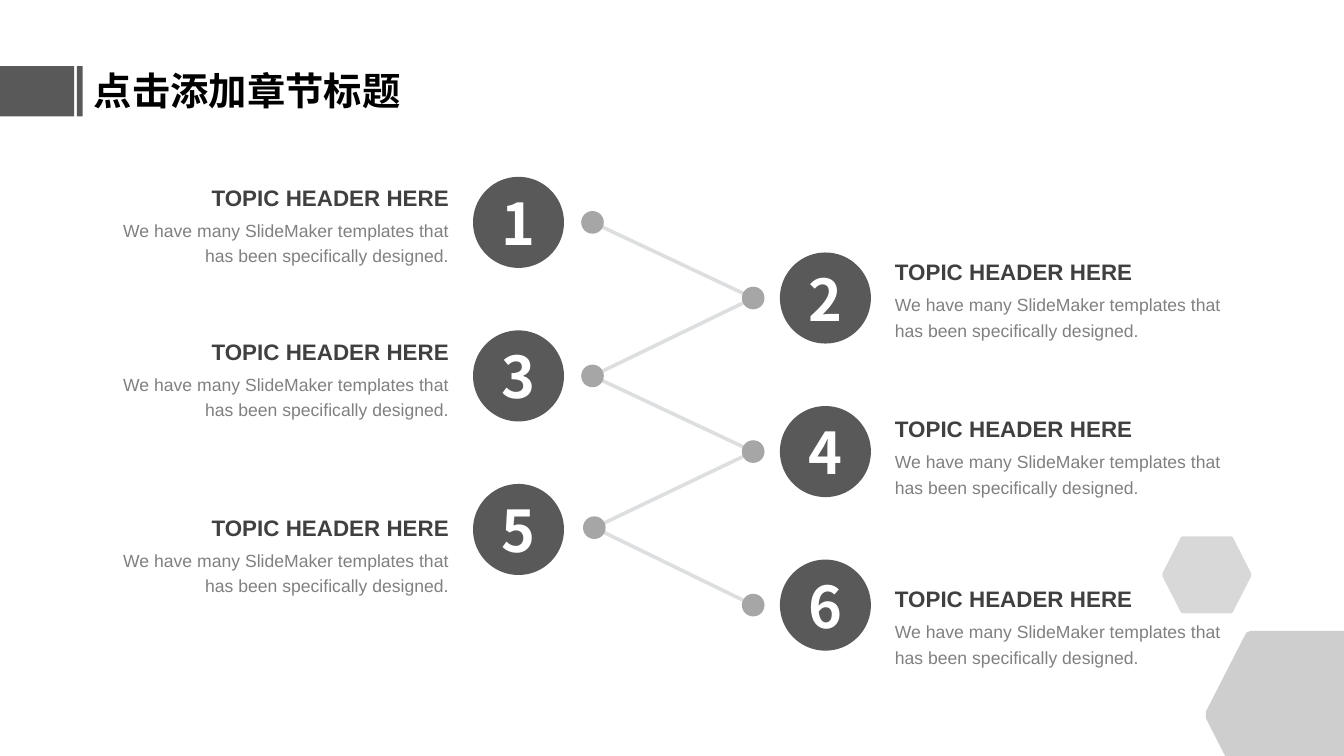
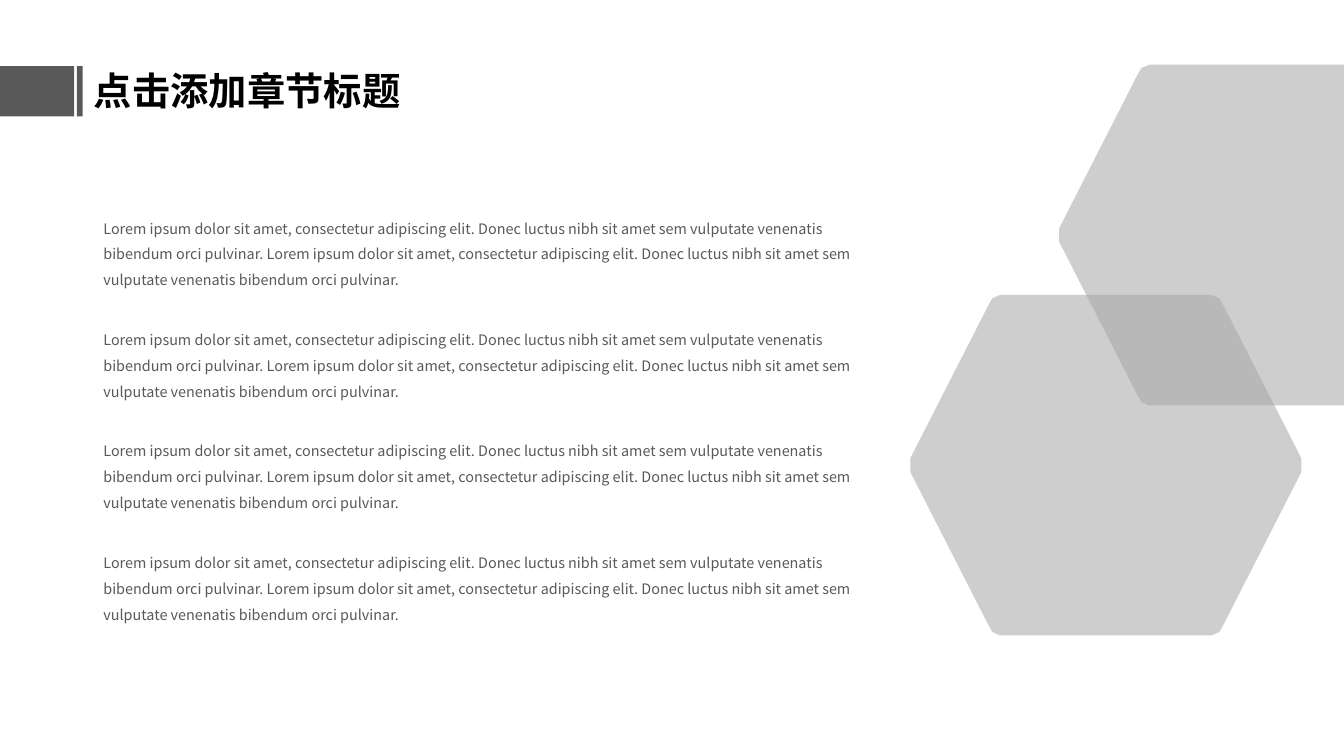
from dataclasses import dataclass

from lxml import etree
from pptx import Presentation
from pptx.dml.color import RGBColor
from pptx.enum.shapes import MSO_CONNECTOR, MSO_SHAPE
from pptx.enum.text import MSO_ANCHOR, MSO_AUTO_SIZE, PP_ALIGN
from pptx.oxml.ns import qn
from pptx.util import Cm, Pt

RECTANGLE = MSO_SHAPE.RECTANGLE
DISC = MSO_SHAPE.FLOWCHART_CONNECTOR
STRAIGHT = MSO_CONNECTOR.STRAIGHT
MIDDLE = MSO_ANCHOR.MIDDLE
NO_AUTOFIT = MSO_AUTO_SIZE.NONE
LEFT, CENTER, RIGHT = PP_ALIGN.LEFT, PP_ALIGN.CENTER, PP_ALIGN.RIGHT


@dataclass(frozen=True)
class Theme:
    dark: str = "595959"
    accent: str = "A6A6A6"
    link: str = "DCDEE0"
    header: str = "404040"
    detail: str = "808080"
    black: str = "000000"
    white: str = "FFFFFF"
    main_font: str = "Noto Sans CJK SC"
    topic_font: str = "Arial"
    title_size: int = 24
    number_size: int = 36
    header_size: int = 14
    detail_size: int = 11
    body_size: int = 9


theme = Theme()


def style_paragraph(para, font_name, size, colour, bold=False, align=LEFT):
    para.alignment = align
    for span in para.runs:
        span.font.name = font_name
        span.font.size = Pt(size)
        span.font.bold = bold
        span.font.color.rgb = RGBColor.from_string(colour)
        latin = span.font._element.find(qn("a:latin"))
        east_asian = etree.Element(qn("a:ea"), typeface=font_name)
        latin.addnext(east_asian)


def add_filled(page, kind, left, top, width, height, colour):
    shape = page.shapes.add_shape(kind, Cm(left), Cm(top), Cm(width), Cm(height))
    shape.shadow.inherit = False
    shape.fill.solid()
    shape.fill.fore_color.rgb = RGBColor.from_string(colour)
    shape.line.fill.background()
    return shape


deck = Presentation()
deck.slide_width, deck.slide_height = Cm(29.69), Cm(16.69)
topics_page = deck.slides.add_slide(deck.slide_layouts[5])
text_page = deck.slides.add_slide(deck.slide_layouts[1])

for page in (topics_page, text_page):
    title = page.shapes.title
    title.left, title.top, title.width, title.height = Cm(1.82), Cm(1.34), Cm(11.18), Cm(1.3)
    title.text_frame.text = "点击添加章节标题"
    title.text_frame.auto_size = NO_AUTOFIT
    title.text_frame.vertical_anchor = MIDDLE
    style_paragraph(title.text_frame.paragraphs[0], theme.main_font, theme.title_size, theme.black, True)
    for left, width in ((0, 1.64), (1.7, 0.13)):
        add_filled(page, RECTANGLE, left, 1.46, width, 1.11, theme.dark)

disc_size, dot_size, row_step = 2.01, 0.5, 3.39
first_centers = (4.91, 6.58)
disc_lefts = (10.45, 17.23)
dot_centers = (13.09, 16.64)
topic_lefts = (2.12, 19.77)
topic_aligns = (RIGHT, LEFT)
topic_tops = (3.94, 5.59, 7.34, 9.05, 11.23, 12.81)
centers = [first_centers[index % 2] + index // 2 * row_step for index in range(len(topic_tops))]
nodes = [(dot_centers[index % 2], center_y) for index, center_y in enumerate(centers)]
nodes[4] = (13.13, 11.65)

for (start_x, start_y), (end_x, end_y) in zip(nodes, nodes[1:]):
    link = topics_page.shapes.add_connector(STRAIGHT, Cm(start_x), Cm(start_y), Cm(end_x), Cm(end_y))
    link.line.color.rgb = RGBColor.from_string(theme.link)
    link.line.width = Pt(2.25)
    etree.SubElement(link._element.spPr, qn("a:effectLst"))

for index, ((dot_x, dot_y), center_y, topic_top) in enumerate(zip(nodes, centers, topic_tops)):
    side = index % 2
    add_filled(topics_page, DISC, dot_x - dot_size / 2, dot_y - dot_size / 2, dot_size, dot_size, theme.accent)
    disc = add_filled(
        topics_page, DISC, disc_lefts[side], center_y - disc_size / 2, disc_size, disc_size, theme.dark
    )
    disc.text_frame.text = str(index + 1)
    disc.text_frame.word_wrap = False
    disc.text_frame.vertical_anchor = MIDDLE
    style_paragraph(
        disc.text_frame.paragraphs[0], theme.main_font, theme.number_size, theme.white, True, CENTER
    )

    box = topics_page.shapes.add_textbox(Cm(topic_lefts[side]), Cm(topic_top), Cm(7.8), Cm(1.96))
    frame = box.text_frame
    frame.word_wrap = True
    frame.margin_left = frame.margin_right = frame.margin_top = frame.margin_bottom = 0
    frame.text = "TOPIC HEADER HERE"
    header = frame.paragraphs[0]
    detail = frame.add_paragraph()
    detail.text = "We have many SlideMaker templates that has been specifically designed."
    detail.space_before = Pt(3)
    header.line_spacing = detail.line_spacing = 1.2
    align = topic_aligns[side]
    style_paragraph(header, theme.topic_font, theme.header_size, theme.header, True, align)
    style_paragraph(detail, theme.topic_font, theme.detail_size, theme.detail, False, align)

sentences = (
    "Lorem ipsum dolor sit amet, consectetur adipiscing elit. "
    "Donec luctus nibh sit amet sem vulputate venenatis bibendum orci pulvinar."
)
body = text_page.placeholders[1]
body.left, body.top, body.width, body.height = Cm(2.03), Cm(4.53), Cm(17.1), Cm(9.27)
body.text_frame.text = "\n".join([f"{sentences} {sentences}"] * 4)
body.text_frame.auto_size = NO_AUTOFIT
for index, para in enumerate(body.text_frame.paragraphs):
    properties = para._p.get_or_add_pPr()
    properties.set("marL", "0")
    properties.set("indent", "0")
    etree.SubElement(properties, qn("a:buNone"))
    para.line_spacing = Pt(16.25)
    para.space_before = Pt(21 if index else 0)
    style_paragraph(para, theme.main_font, theme.body_size, theme.dark)

quarter = [(0.27, 0.5), (0.29, 0.49), (0.3, 0.47), (0.5, 0.02)]
right_half = quarter + [(x, -y) for x, y in reversed(quarter)]
outline = right_half + [(-x, y) for x, y in reversed(right_half)]
hexagons = (
    (topics_page, 26.64, 13.93, 4.27, 3.71, 55),
    (topics_page, 25.68, 11.84, 1.96, 1.7, 43),
    (text_page, 23.4, 1.43, 8.64, 7.52, 55),
    (text_page, 20.11, 6.51, 8.64, 7.52, 55),
)
for page, left, top, width, height, opacity in hexagons:
    corners = [(Cm(left + (x + 0.5) * width), Cm(top + (y + 0.5) * height)) for x, y in outline]
    builder = page.shapes.build_freeform(*corners[0])
    builder.add_line_segments(corners[1:], close=True)
    hexagon = builder.convert_to_shape()
    hexagon.shadow.inherit = False
    hexagon.fill.solid()
    hexagon.fill.fore_color.rgb = RGBColor.from_string(theme.accent)
    hexagon.line.fill.background()
    colour = hexagon._element.spPr.find(qn("a:solidFill"))[0]
    etree.SubElement(colour, qn("a:alpha"), val=str(opacity * 1000))

deck.save("out.pptx")
